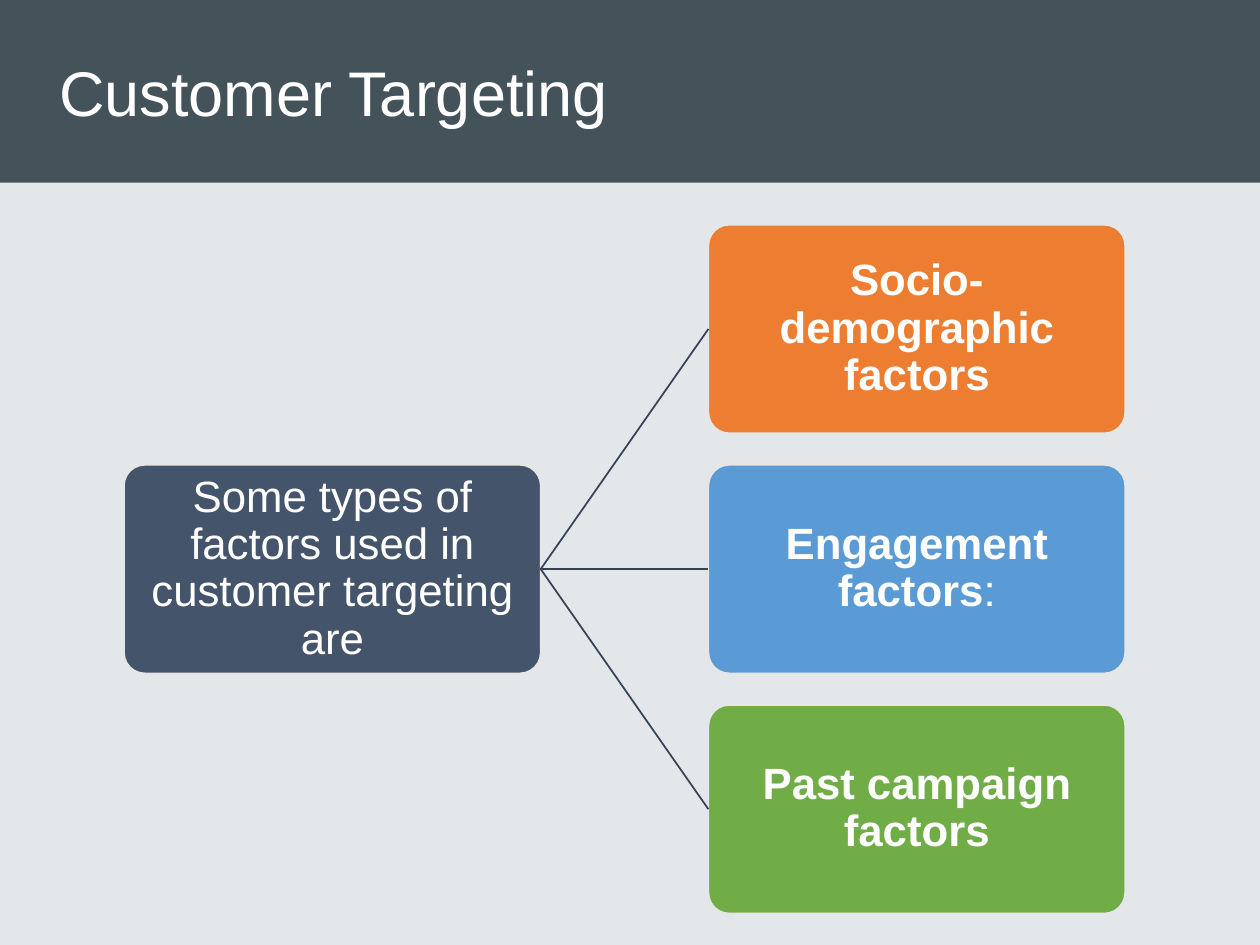
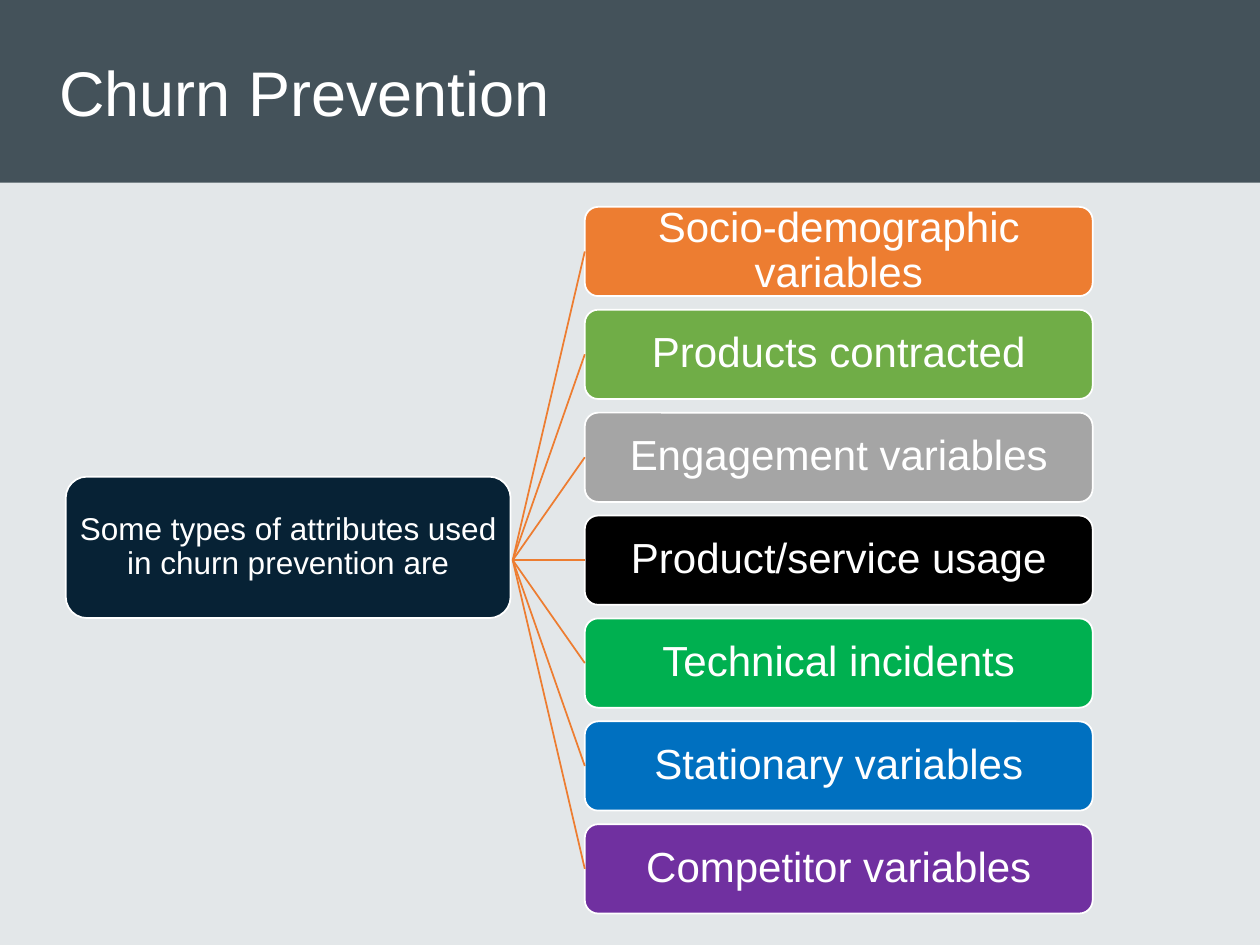
"""Build two slides that link a root box to a column of factor boxes."""
import pptx
import pptx.dml.color
import pptx.enum.shapes
import pptx.enum.text
import pptx.oxml.ns
import pptx.util
from lxml import etree

Pt = pptx.util.Pt
ALIGN = pptx.enum.text.PP_ALIGN
MIDDLE = pptx.enum.text.MSO_ANCHOR.MIDDLE
SHAPE = pptx.enum.shapes.MSO_SHAPE

WHITE = "FFFFFF"
BACKGROUND = "E3E7E9"
BAND = "44525A"
ORANGE = "ED7D31"
GREEN = "70AD47"
WIDTH, HEIGHT, BAND_HEIGHT = 720, 540, 104.4


def rgb(value):
    return pptx.dml.color.RGBColor.from_string(value)


class Deck:
    font = "Arial"

    def __init__(self):
        self.prs = pptx.Presentation()
        self.prs.slide_width, self.prs.slide_height = Pt(WIDTH), Pt(HEIGHT)
        self.layout = self.prs.slide_layouts[5]
        self.s = None
        fill = self.prs.slide_master.background.fill
        fill.solid()
        fill.fore_color.rgb = rgb(BACKGROUND)

    def slide(self, title):
        self.s = self.prs.slides.add_slide(self.layout)
        if len(self.prs.slides) == 1:
            self.master_band()
        sp = self.s.shapes.title
        sp.left, sp.top, sp.width, sp.height = Pt(26.6), Pt(0), Pt(660), Pt(BAND_HEIGHT)
        self.text(sp, [(title, False)], 36, ALIGN.LEFT)

    def master_band(self):
        sp = self.shape(SHAPE.RECTANGLE, 0, 0, WIDTH, BAND_HEIGHT, BAND)
        sp.line.fill.background()
        self.prs.slide_master.shapes._spTree.insert(2, sp._element)

    def shape(self, kind, x, y, w, h, fill):
        sp = self.s.shapes.add_shape(kind, Pt(x), Pt(y), Pt(w), Pt(h))
        sp.shadow.inherit = False
        sp.fill.solid()
        sp.fill.fore_color.rgb = rgb(fill)
        return sp

    def text(self, sp, runs, size, align, spacing=None):
        tf = sp.text_frame
        tf.word_wrap = True
        tf.vertical_anchor = MIDDLE
        p = tf.paragraphs[0]
        p.alignment = align
        p.line_spacing = spacing
        for words, bold in runs:
            r = p.add_run()
            r.text = words
            r.font.name, r.font.size, r.font.bold = self.font, Pt(size), bold
            r.font.color.rgb = rgb(WHITE)

    def box(self, x, y, w, h, fill, line, runs, size, corner, inset):
        sp = self.shape(SHAPE.ROUNDED_RECTANGLE, x, y, w, h, fill)
        sp.adjustments[0] = corner
        sp.line.color.rgb = rgb(line)
        sp.line.width = Pt(1)
        tf = sp.text_frame
        tf.margin_left = tf.margin_right = tf.margin_top = tf.margin_bottom = Pt(inset)
        self.text(sp, runs, size, ALIGN.CENTER, 0.9)
        return sp

    def column(self, x, top, w, h, pitch, items, **style):
        return [self.box(x, top + i * pitch, w, h, fill, runs=runs, **style)
                for i, (fill, runs) in enumerate(items)]

    def link(self, start, target, color, root=None):
        cxn = self.s.shapes.add_connector(
            pptx.enum.shapes.MSO_CONNECTOR.STRAIGHT, Pt(start[0]), Pt(start[1]),
            target.left, target.top + target.height // 2)
        if root is not None:
            cxn.begin_connect(root, 3)
        cxn.end_connect(target, 1)
        cxn.line.color.rgb = rgb(color)
        cxn.line.width = Pt(1)
        etree.SubElement(cxn._element.spPr, pptx.oxml.ns.qn("a:effectLst"))


def customer_targeting(deck):
    deck.slide("Customer Targeting")
    style = dict(line="E7E6E6", size=25, corner=0.1, inset=1.5)
    root = deck.box(70.8, 265.6, 238.2, 119.2, "44546A",
                    runs=[("Some types of factors used in customer targeting are", False)],
                    **style)
    factors = [
        (ORANGE, [("Socio-demographic factors", True)]),
        ("5B9BD5", [("Engagement factors", True), (":", False)]),
        (GREEN, [("Past campaign factors", True)]),
    ]
    for sp in deck.column(404.8, 128.4, 238.2, 119.2, 137.2, factors, **style):
        deck.link((309, 325.2), sp, "364355", root)


def churn_prevention(deck):
    deck.slide("Churn Prevention")
    style = dict(line=WHITE, corner=0.15, inset=2)
    deck.box(37.6, 272.4, 254.2, 80.8, "072235",
             runs=[("Some types of attributes used in churn prevention are", False)],
             size=18, **style)
    attributes = [
        (ORANGE, "Socio-demographic variables"),
        (GREEN, "Products contracted"),
        ("A5A5A5", "Engagement variables"),
        ("000000", "Product/service usage"),
        ("00B050", "Technical incidents"),
        ("0070C0", "Stationary variables"),
        ("7030A0", "Competitor variables"),
    ]
    items = [(fill, [(words, False)]) for fill, words in attributes]
    for sp in deck.column(334.2, 118.2, 290.2, 51, 58.8, items, size=24, **style):
        deck.link((293, 320.1), sp, ORANGE)


def main():
    deck = Deck()
    customer_targeting(deck)
    churn_prevention(deck)
    deck.prs.save("out.pptx")


if __name__ == "__main__":
    main()
